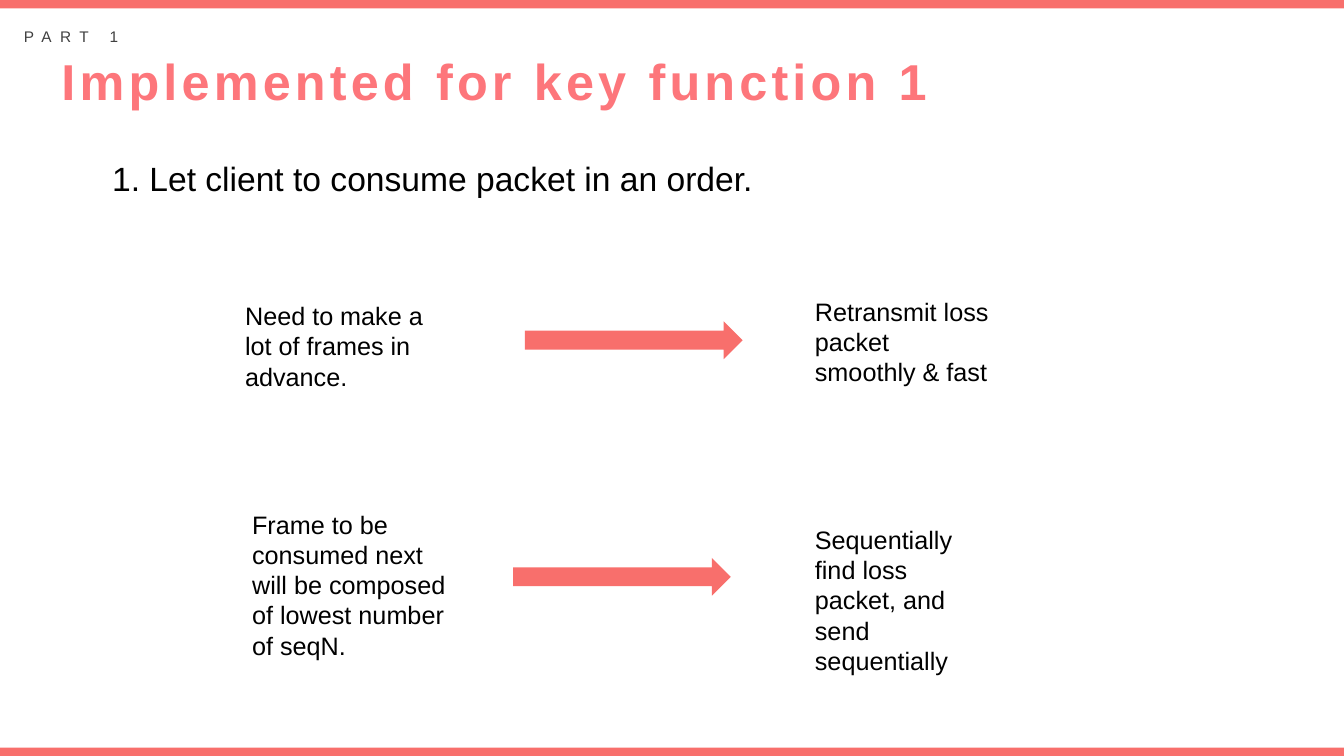
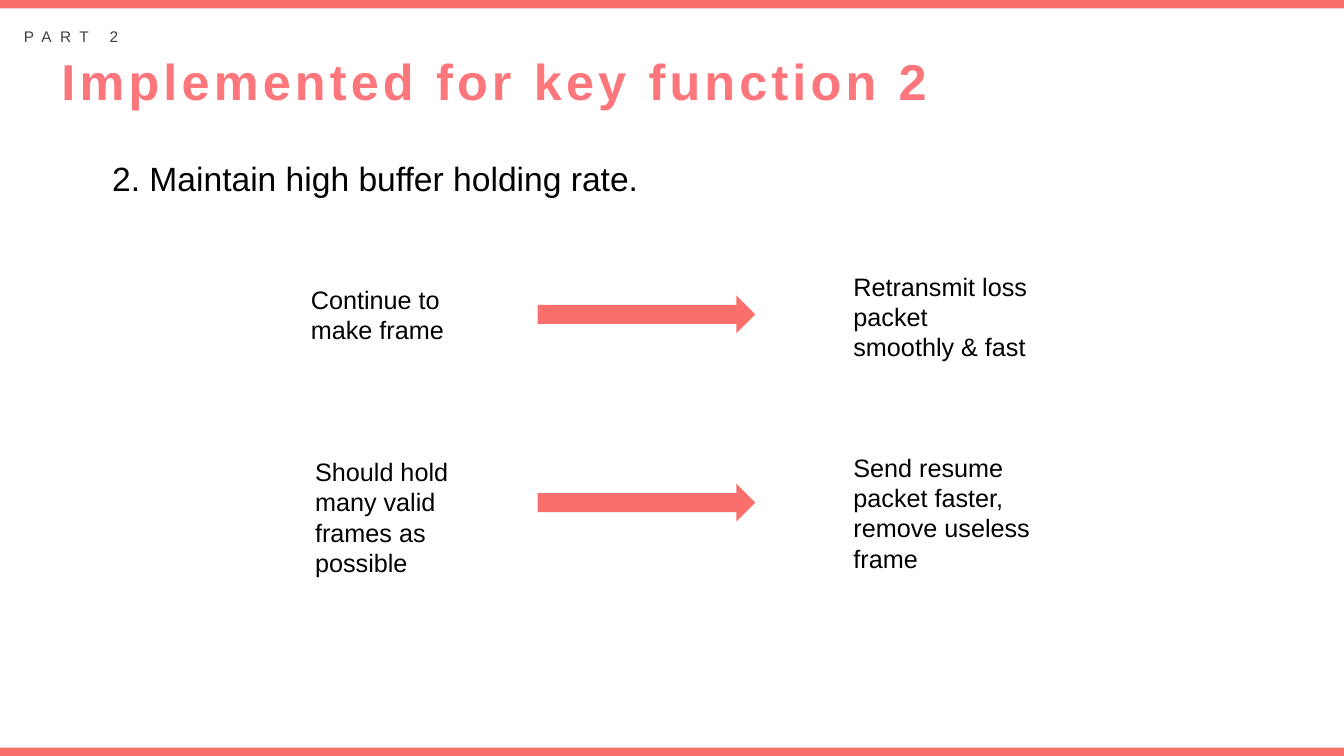
from pptx import Presentation
from pptx.dml.color import RGBColor
from pptx.enum.shapes import MSO_SHAPE
from pptx.enum.text import MSO_AUTO_SIZE, PP_ALIGN
from pptx.util import Pt

RECT, ARROW = MSO_SHAPE.RECTANGLE, MSO_SHAPE.RIGHT_ARROW
LEFT, CENTER = PP_ALIGN.LEFT, PP_ALIGN.CENTER
GROW = MSO_AUTO_SIZE.SHAPE_TO_FIT_TEXT
WIDE, HIGH, BAND = 960, 540, 6
FONT = "Arial"
COLORS = {"band": "F86F6C", "title": "FD767B", "part": "404040", "text": "000000"}

SLIDES = [
    {
        "number": 1,
        "point": "1. Let client to consume packet in an order.",
        "flows": [
            {
                "at": (168, 208),
                "cause": ("Need to make a lot of frames in advance.", (0, 3, 153, 73)),
                "arrow": (207, 21.5),
                "effect": ("Retransmit loss packet smoothly & fast", (407, 0, 142, 73)),
            },
            {
                "at": (173, 360),
                "cause": (
                    "Frame to be consumed next will be composed of lowest number of seqN.",
                    (0, 0, 162, 116),
                ),
                "arrow": (193.5, 38.5),
                "effect": (
                    "Sequentially find loss packet, and send sequentially",
                    (402, 11, 142, 94),
                ),
            },
        ],
    },
    {
        "number": 2,
        "point": "2. Maintain high buffer holding rate.",
        "flows": [
            {
                "at": (215, 190),
                "cause": ("Continue to make frame", (0, 9.5, 133, 51)),
                "arrow": (169, 21),
                "effect": ("Retransmit loss packet smoothly & fast", (387.5, 0, 142, 73)),
            },
            {
                "at": (218, 319.5),
                "cause": ("Should hold many valid frames as possible", (0, 3, 133, 94)),
                "arrow": (166, 26),
                "effect": (
                    "Send resume packet faster, remove useless frame",
                    (384.5, 0, 142, 94),
                ),
            },
        ],
    },
]


def block(slide, kind, box):
    """Draw a plain shape in the band colour."""
    shape = slide.shapes.add_shape(kind, *map(Pt, box))
    shape.shadow.inherit = False
    shape.fill.solid()
    shape.fill.fore_color.rgb = RGBColor.from_string(COLORS["band"])
    shape.line.fill.background()


def label(slide, text, box, size, color="text", bold=False, wrap=True, align=LEFT, gap=0):
    """Place one paragraph of text, with letter spacing in points."""
    frame = slide.shapes.add_textbox(*map(Pt, box)).text_frame
    frame.word_wrap = wrap
    frame.auto_size = GROW
    line = frame.paragraphs[0]
    line.alignment = align
    run = line.add_run()
    run.text = text
    line.font.name = FONT
    line.font.size = Pt(size)
    line.font.bold = bold
    line.font.color.rgb = RGBColor.from_string(COLORS[color])
    if gap:
        run.font._element.set("spc", str(gap * 100))


def header(slide, number):
    """Draw the bands, part label and title that all slides share."""
    for top in (0, HIGH - BAND):
        block(slide, RECT, (0, top, WIDE, BAND))
    label(slide, f"Implemented for key function {number}", (32, 32, 643, 51), 36,
          "title", bold=True, wrap=False, align=CENTER, gap=3)
    label(slide, f"PART {number}", (10, 16, 90, 21), 11, "part", wrap=False, gap=6)


def flow(slide, at, cause, arrow, effect):
    """Place a cause, an arrow and an effect relative to a corner."""
    left, top = at
    for text, (x, y, wide, high) in (cause, effect):
        label(slide, text, (left + x, top + y, wide, high), 18)
    block(slide, ARROW, (left + arrow[0], top + arrow[1], 155.5, 27))


def build(deck, number, point, flows):
    """Add one slide with its main point and flows."""
    slide = deck.slides.add_slide(deck.slide_layouts[6])
    header(slide, number)
    label(slide, point, (73, 109, 480, 36), 24)
    for item in flows:
        flow(slide, **item)


def main():
    """Build and save the deck."""
    deck = Presentation()
    deck.slide_width, deck.slide_height = Pt(WIDE), Pt(HIGH)
    for page in SLIDES:
        build(deck, **page)
    deck.save("out.pptx")


if __name__ == "__main__":
    main()
